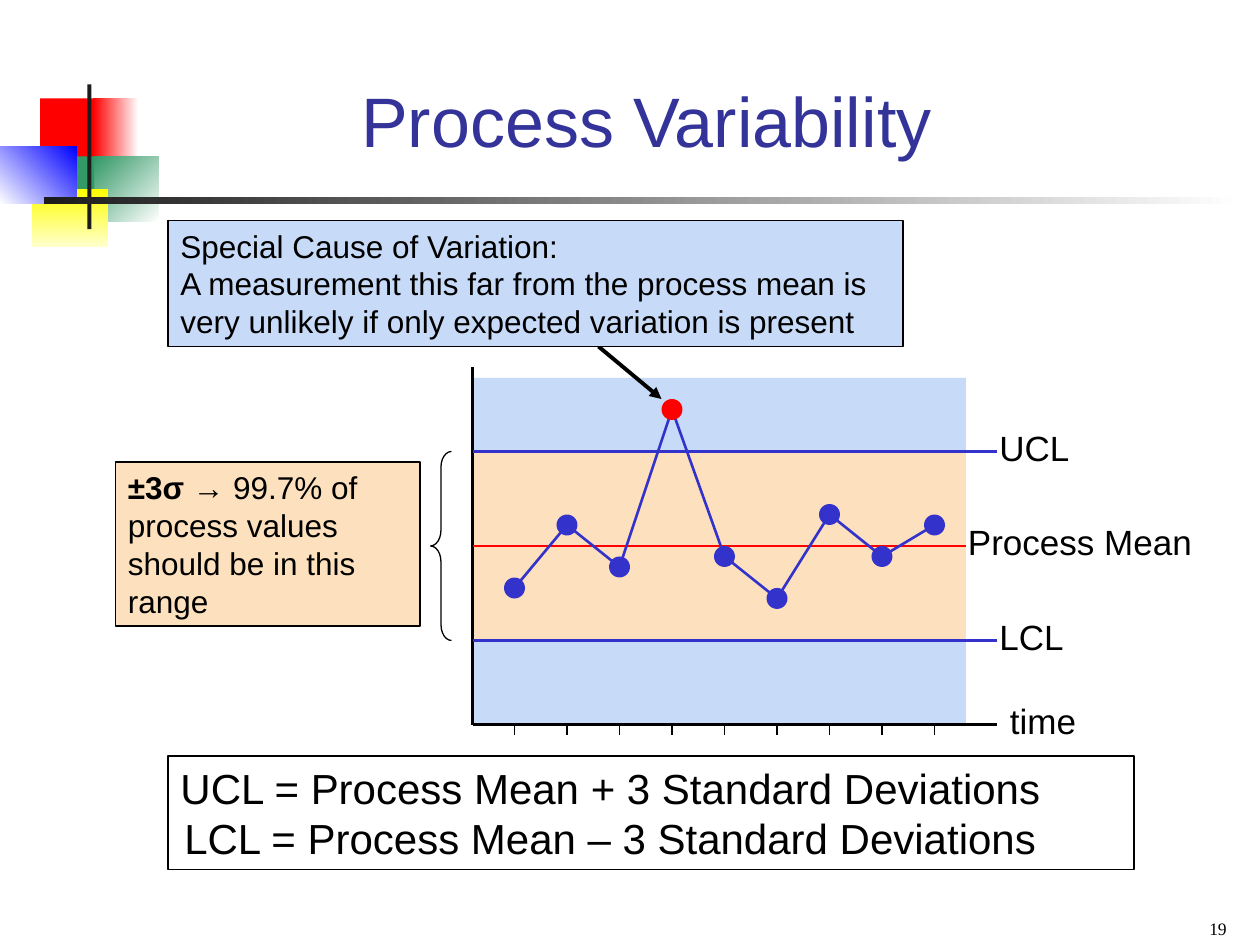
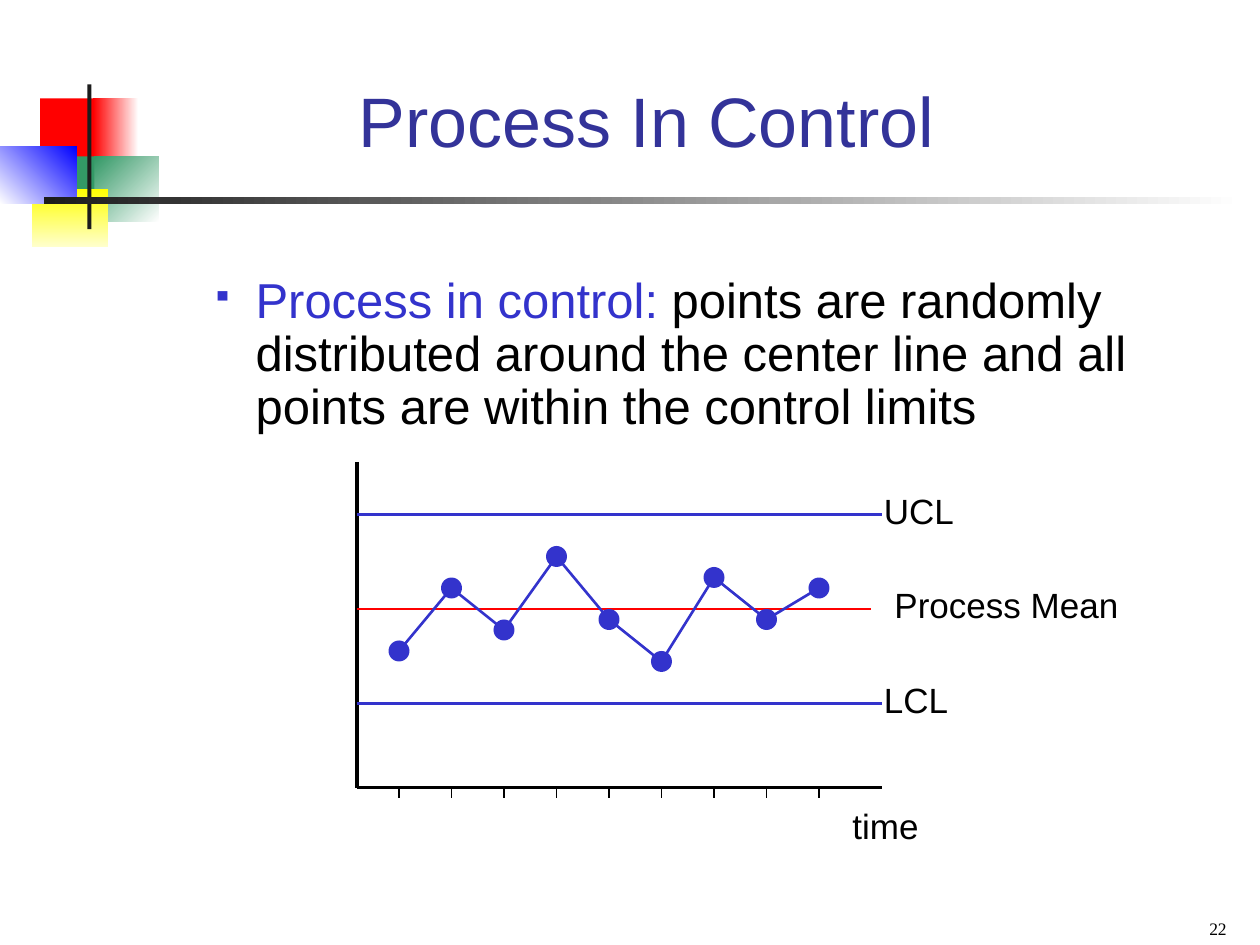
from lxml.etree import SubElement
from pptx import Presentation
from pptx.dml.color import RGBColor
from pptx.enum.shapes import MSO_CONNECTOR, MSO_SHAPE
from pptx.enum.text import MSO_ANCHOR, PP_ALIGN
from pptx.oxml.ns import qn
from pptx.util import Pt

BLACK = "000000"
CHARCOAL = "1C1C1C"
WHITE = "FFFFFF"
RED = "FF0000"
GREEN = "339966"
BLUE = "3333CC"
TITLE_BLUE = "333399"
PALE_BLUE = "C7DAF7"
PEACH = "FDE0BD"

DECORATIONS = [
    ((23, 56.2, 34.6, 37.4), (RED,)),
    ((53.3, 56.2, 25.9, 37.4), (WHITE, RED, 180)),
    ((54, 89.3, 36.7, 37.4), (WHITE, GREEN, 225)),
    ((31, 89.3, 23, 37.4), (GREEN,)),
    ((18, 108, 43.9, 33.1), ("FFFF00", "FFFFCC", 90)),
    ((0, 83.5, 43.9, 33.1), ("0000FF", WHITE, 135)),
    ((49.9, 48.2, 2.3, 82.8), (CHARCOAL,)),
    ((25.2, 112.5, 684.7, 4.1), (WHITE, CHARCOAL, 180)),
]

LIMIT_GAP = 54
AXIS_DROP = 102
AXIS_LENGTH = 300
FIRST_POINT = 24
POINT_STEP = 30
DOT = 12
LABEL_HEIGHT = 31.5


def colour(value):
    return RGBColor.from_string(value)


def points(values):
    return [Pt(value) for value in values]


def add_figure(page, kind, bounds, fill=None, line=None, width=0.75):
    figure = page.shapes.add_shape(kind, *points(bounds))
    figure.shadow.inherit = False
    if fill:
        figure.fill.solid()
        figure.fill.fore_color.rgb = colour(fill)
    else:
        figure.fill.background()
    if line:
        figure.line.color.rgb = colour(line)
        figure.line.width = Pt(width)
    else:
        figure.line.fill.background()
    return figure


def add_rectangle(page, bounds, fill=None, line=None, width=0.75):
    return add_figure(page, MSO_SHAPE.RECTANGLE, bounds, fill, line, width)


def add_gradient(page, bounds, start, end, clockwise):
    block = add_rectangle(page, bounds)
    block.fill.gradient()
    block.fill.gradient_angle = 360 - clockwise
    for stop, shade in zip(block.fill.gradient_stops, (start, end)):
        stop.color.rgb = colour(shade)


def add_line(page, start, end, shade, width):
    line = page.shapes.add_connector(MSO_CONNECTOR.STRAIGHT, *points(start + end))
    line.line.color.rgb = colour(shade)
    line.line.width = Pt(width)
    SubElement(line._element.spPr, qn("a:effectLst"))
    return line


def add_arrow(page, start, end, shade, width):
    arrow = add_line(page, start, end, shade, width)
    SubElement(arrow.line._get_or_add_ln(), qn("a:tailEnd"), type="triangle")


def write(shape, paragraphs, size, shade=BLACK, font="Arial",
          align=PP_ALIGN.LEFT, anchor=MSO_ANCHOR.TOP):
    frame = shape.text_frame
    frame.word_wrap = True
    frame.vertical_anchor = anchor
    for index, spans in enumerate(paragraphs):
        para = frame.add_paragraph() if index else frame.paragraphs[0]
        para.alignment = align
        for text in spans:
            para.add_run().text = text
        para.font.size = Pt(size)
        para.font.name = font
        para.font.color.rgb = colour(shade)
    return frame.paragraphs


def add_text(page, bounds, spans, size, **style):
    box = page.shapes.add_textbox(*points(bounds))
    return write(box, [spans], size, **style)[0]


def add_label(page, left, top, text, width=66):
    add_text(page, (left, top, width, LABEL_HEIGHT), [text], 20)


def add_page(deck, title, number):
    page = deck.slides.add_slide(deck.slide_layouts[6])
    for bounds, paint in DECORATIONS:
        if len(paint) == 1:
            add_rectangle(page, bounds, *paint)
        else:
            add_gradient(page, bounds, *paint)
    add_text(page, (90.7, 18, 557.3, 77.8), [title], 40, shade=TITLE_BLUE,
             align=PP_ALIGN.CENTER, anchor=MSO_ANCHOR.BOTTOM)
    add_text(page, (540, 514.8, 168, 25.2), [str(number)], 10,
             font="Times New Roman", align=PP_ALIGN.RIGHT, anchor=MSO_ANCHOR.BOTTOM)
    return page


def add_control_chart(page, left, top, mean, mean_length, offsets):
    axis = mean + AXIS_DROP
    right = left + AXIS_LENGTH
    add_line(page, (left, top), (left, axis), BLACK, 2.25)
    add_line(page, (left, axis), (right, axis), BLACK, 2.25)
    for name, level in (("UCL", mean - LIMIT_GAP), ("LCL", mean + LIMIT_GAP)):
        add_line(page, (left, level), (right, level), BLUE, 1.5)
        add_label(page, right - 6, level - 18, name)
    mean_line = add_line(page, (left, mean), (left + mean_length, mean), RED, 1.5)

    centres = [(left + FIRST_POINT + POINT_STEP * index, mean + offset)
               for index, offset in enumerate(offsets)]
    builder = page.shapes.build_freeform(*points(centres[0]))
    builder.add_line_segments([points(centre) for centre in centres[1:]], close=False)
    trace = builder.convert_to_shape()
    trace.shadow.inherit = False
    trace.fill.background()
    trace.line.color.rgb = colour(BLUE)
    trace.line.width = Pt(1.5)
    for across, down in centres:
        shade = RED if abs(down - mean) > LIMIT_GAP else BLUE
        add_figure(page, MSO_SHAPE.OVAL, (across - DOT / 2, down - DOT / 2, DOT, DOT), shade)
        add_line(page, (across, axis), (across, axis + 6), BLACK, 0.75)
    return mean_line


def add_bullet(para, symbol, shade, percent, indent):
    properties = para._p.get_or_add_pPr()
    properties.set("marL", str(Pt(indent)))
    properties.set("indent", str(-Pt(indent)))
    tint = SubElement(properties, qn("a:buClr"))
    SubElement(tint, qn("a:srgbClr"), val=shade)
    SubElement(properties, qn("a:buSzPct"), val=str(percent * 1000))
    SubElement(properties, qn("a:buChar"), char=symbol)


def build_variability(deck):
    page = add_page(deck, "Process Variability", 19)
    left, mean, band_width = 270, 312, 282
    upper, lower = mean - LIMIT_GAP, mean + LIMIT_GAP
    add_rectangle(page, (left, upper - 42, band_width, 42), PALE_BLUE)
    add_rectangle(page, (left, lower, band_width, 48), PALE_BLUE)
    expected = add_rectangle(page, (left, upper, band_width, 2 * LIMIT_GAP), PEACH)
    mean_line = add_control_chart(page, left, 210, mean, band_width,
                                  [24, -12, 12, -78, 6, 30, -18, 6, -12])
    mean_line.begin_connect(expected, 1)
    mean_line.end_connect(expected, 3)
    add_label(page, 546, 294, "Process Mean", 168)
    add_label(page, 570, 396, "time")

    formulas = add_rectangle(page, (96, 432, 552, 64.8), line=BLACK)
    limits = write(formulas, [["UCL = Process Mean + 3 Standard Deviations"],
                              ["LCL = Process Mean – 3 Standard Deviations"]], 24)
    limits[1]._p.get_or_add_pPr().set("marL", str(Pt(2.2)))

    sigma = add_rectangle(page, (66, 264, 174, 93.6), PEACH, BLACK, 1)
    note = write(sigma, [["±3σ", " → 99.7% of process values should be in this range"]], 18)
    note[0].runs[0].font.bold = True
    brace = add_figure(page, MSO_SHAPE.LEFT_BRACE, (246, upper, 12, 2 * LIMIT_GAP), line=BLACK)
    brace.adjustments[0] = 0.75

    add_arrow(page, (342, 198), (378, 228), BLACK, 2.25)
    callout = add_rectangle(page, (96, 126, 420, 72), PALE_BLUE, BLACK)
    write(callout, [["Special Cause of Variation:"],
                    ["A measurement this far from the process mean is very unlikely "
                     "if only expected variation is present"]], 18)


def build_in_control(deck):
    page = add_page(deck, "Process In Control", 22)
    body = add_text(page, (113.8, 154.1, 563.8, 112.3),
                    ["Process in control:", " points are randomly distributed around the "
                     "center line and all points are within the control limits"], 28)
    body.line_spacing = 0.9
    add_bullet(body, "▪", BLUE, 60, 25.2)
    body.runs[0].font.color.rgb = colour(BLUE)
    add_control_chart(page, 204, 264, 348, 294, [24, -12, 12, -30, 6, 30, -18, 6, -12])
    add_label(page, 480, 456, "time")
    add_label(page, 504, 330, "Process Mean", 168)


def main():
    deck = Presentation()
    deck.slide_width, deck.slide_height = Pt(720), Pt(540)
    build_variability(deck)
    build_in_control(deck)
    deck.save("out.pptx")


if __name__ == "__main__":
    main()
